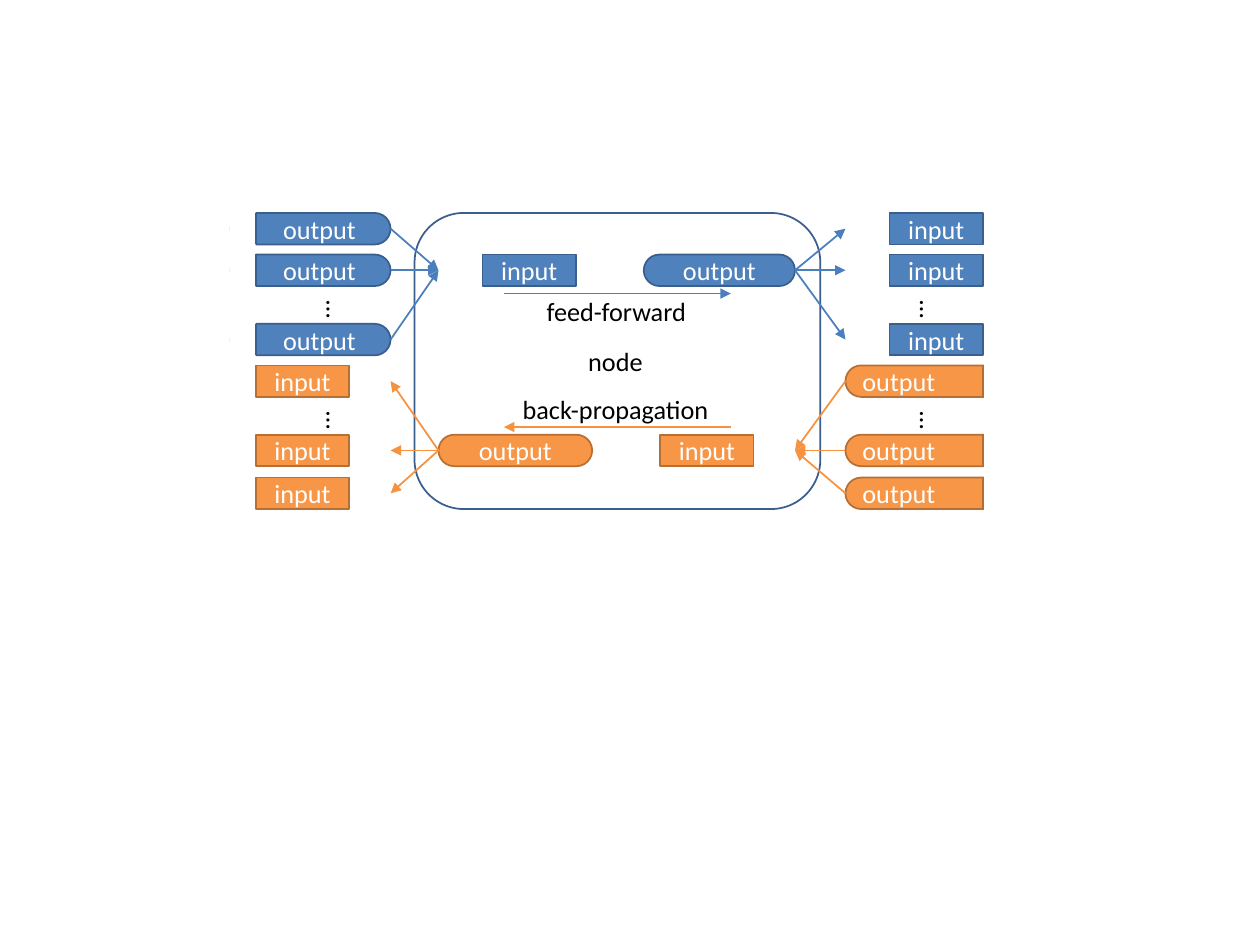
from pptx import Presentation
from pptx.dml.color import RGBColor
from pptx.enum.shapes import MSO_CONNECTOR, MSO_SHAPE
from pptx.enum.text import MSO_ANCHOR, MSO_AUTO_SIZE, PP_ALIGN
from pptx.oxml.ns import qn
from pptx.util import Inches, Pt
from lxml import etree

COLORS = {
    "white": "FFFFFF", "black": "000000",
    "blue": "4F81BD", "blue_edge": "3A5F8C", "blue_arrow": "4B7EBC", "blue_cap": "376092",
    "orange": "F79646", "orange_edge": "B76F34", "orange_arrow": "F69240", "orange_cap": "B66D31",
}
FORWARD_ROWS = (1.69, 2.02, 2.57)
BACKWARD_ROWS = (2.9, 3.45, 3.79)
FORWARD_HUB, BACKWARD_HUB = 2.02, 3.45
TAG_HEIGHT, INPUT_WIDTH = 0.25, 0.74
LEFT_EDGE, RIGHT_EDGE = 2.03, 7.8
LEFT_PORTS, RIGHT_PORTS = (3.1, 3.48), (6.31, 6.71)


class Diagram:
    """Draws the elements of a neural network node on one slide."""

    def __init__(self, page):
        self.page = page
        self.font, self.size = "Calibri", Pt(15)

    def color(self, name):
        return RGBColor.from_string(COLORS[name])

    def set_text(self, frame, text, color, align):
        paragraph = frame.paragraphs[0]
        paragraph.text = text
        paragraph.alignment = align
        paragraph.font.name = self.font
        paragraph.font.size = self.size
        paragraph.font.color.rgb = self.color(color)

    def block(self, kind, left, top, width, height, fill="white", edge=None):
        shape = self.page.shapes.add_shape(
            kind, Inches(left), Inches(top), Inches(width), Inches(height))
        shape.shadow.inherit = False
        shape.fill.solid()
        shape.fill.fore_color.rgb = self.color(fill)
        if edge:
            shape.line.color.rgb = self.color(edge)
            shape.line.width = Pt(1)
        else:
            shape.line.fill.background()
        return shape

    def input_tag(self, left, top, tone):
        shape = self.block(MSO_SHAPE.RECTANGLE, left, top, INPUT_WIDTH, TAG_HEIGHT,
                           tone, f"{tone}_edge")
        self.set_text(shape.text_frame, "input", "white", PP_ALIGN.CENTER)

    def output_tag(self, left, top, width, tone, align=PP_ALIGN.CENTER, inset=0.1):
        shape = self.block(MSO_SHAPE.ROUNDED_RECTANGLE, left, top, width, TAG_HEIGHT,
                           tone, f"{tone}_edge")
        shape.adjustments[0] = 0.5
        shape.text_frame.margin_left = Inches(inset)
        self.set_text(shape.text_frame, "output", "white", align)

    def label(self, text, left, top, width):
        box = self.page.shapes.add_textbox(
            Inches(left), Inches(top), Inches(width), Inches(0.35))
        box.text_frame.word_wrap = False
        box.text_frame.auto_size = MSO_AUTO_SIZE.SHAPE_TO_FIT_TEXT
        self.set_text(box.text_frame, text, "black", PP_ALIGN.LEFT)

    def ellipsis(self, left, top):
        box = self.page.shapes.add_textbox(
            Inches(left), Inches(top), Inches(0.45), Inches(0.27))
        frame = box.text_frame
        frame.word_wrap = True
        frame.auto_size = MSO_AUTO_SIZE.SHAPE_TO_FIT_TEXT
        frame.vertical_anchor = MSO_ANCHOR.TOP
        box.element.txBody.find(qn("a:bodyPr")).set("vert", "vert")
        self.set_text(frame, "…", "black", PP_ALIGN.CENTER)

    def line(self, start, end, color, arrow=False):
        connector = self.page.shapes.add_connector(
            MSO_CONNECTOR.STRAIGHT, *(Inches(value) for value in (*start, *end)))
        connector.line.color.rgb = self.color(color)
        connector.line.width = Pt(1)
        properties = connector.element.spPr
        if arrow:
            outline = properties.find(qn("a:ln"))
            etree.SubElement(outline, qn("a:tailEnd")).set("type", "triangle")
        etree.SubElement(properties, qn("a:effectLst"))

    def fan(self, ports, rows, hub, tone, inward):
        half = TAG_HEIGHT / 2
        outer, inner = ports
        for row in rows:
            ends = [(outer, row + half), (inner, hub + half)]
            start, end = ends if inward else reversed(ends)
            self.line(start, end, f"{tone}_arrow", arrow=True)


def main():
    deck = Presentation()
    deck.slide_width, deck.slide_height = Inches(10), Inches(7.5)
    diagram = Diagram(deck.slides.add_slide(deck.slide_layouts[6]))

    diagram.block(MSO_SHAPE.ROUNDED_RECTANGLE, 3.29, 1.69, 3.22, 2.35, edge="blue_edge")
    diagram.output_tag(3.48, BACKWARD_HUB, 1.22, "orange")
    diagram.output_tag(5.11, FORWARD_HUB, 1.2, "blue")
    diagram.input_tag(3.83, FORWARD_HUB, "blue")
    diagram.input_tag(5.24, BACKWARD_HUB, "orange")

    diagram.label("feed-forward", 4.24, 2.29, 1.32)
    diagram.line((4, 2.33), (5.8, 2.33), "blue_arrow", arrow=True)
    diagram.label("node", 4.57, 2.69, 0.66)
    diagram.label("back-propagation", 4.05, 3.07, 1.7)
    diagram.line((5.8, 3.39), (4, 3.39), "orange_arrow", arrow=True)

    for row in FORWARD_ROWS:
        diagram.output_tag(1.83, row, 1.27, "blue", inset=0.24)
    for row in BACKWARD_ROWS:
        diagram.output_tag(6.71, row, 1.29, "orange", PP_ALIGN.LEFT)
    diagram.block(MSO_SHAPE.RECTANGLE, 1.82, 1.59, 0.21, 1.3)
    diagram.block(MSO_SHAPE.RECTANGLE, 7.81, 2.83, 0.21, 1.3)

    for row in FORWARD_ROWS:
        diagram.line((LEFT_EDGE, row), (LEFT_EDGE, row + TAG_HEIGHT), "blue_cap")
        diagram.input_tag(RIGHT_EDGE - INPUT_WIDTH, row, "blue")
    for row in BACKWARD_ROWS:
        diagram.line((RIGHT_EDGE, row), (RIGHT_EDGE, row + TAG_HEIGHT), "orange_cap")
        diagram.input_tag(LEFT_EDGE, row, "orange")

    diagram.fan(LEFT_PORTS, FORWARD_ROWS, FORWARD_HUB, "blue", inward=True)
    diagram.fan(RIGHT_PORTS[::-1], FORWARD_ROWS, FORWARD_HUB, "blue", inward=False)
    diagram.fan(RIGHT_PORTS[::-1], BACKWARD_ROWS, BACKWARD_HUB, "orange", inward=True)
    diagram.fan(LEFT_PORTS, BACKWARD_ROWS, BACKWARD_HUB, "orange", inward=False)

    for left in (2.4, 7.11):
        for top in (2.29, 3.17):
            diagram.ellipsis(left, top)

    deck.save("out.pptx")


if __name__ == "__main__":
    main()
